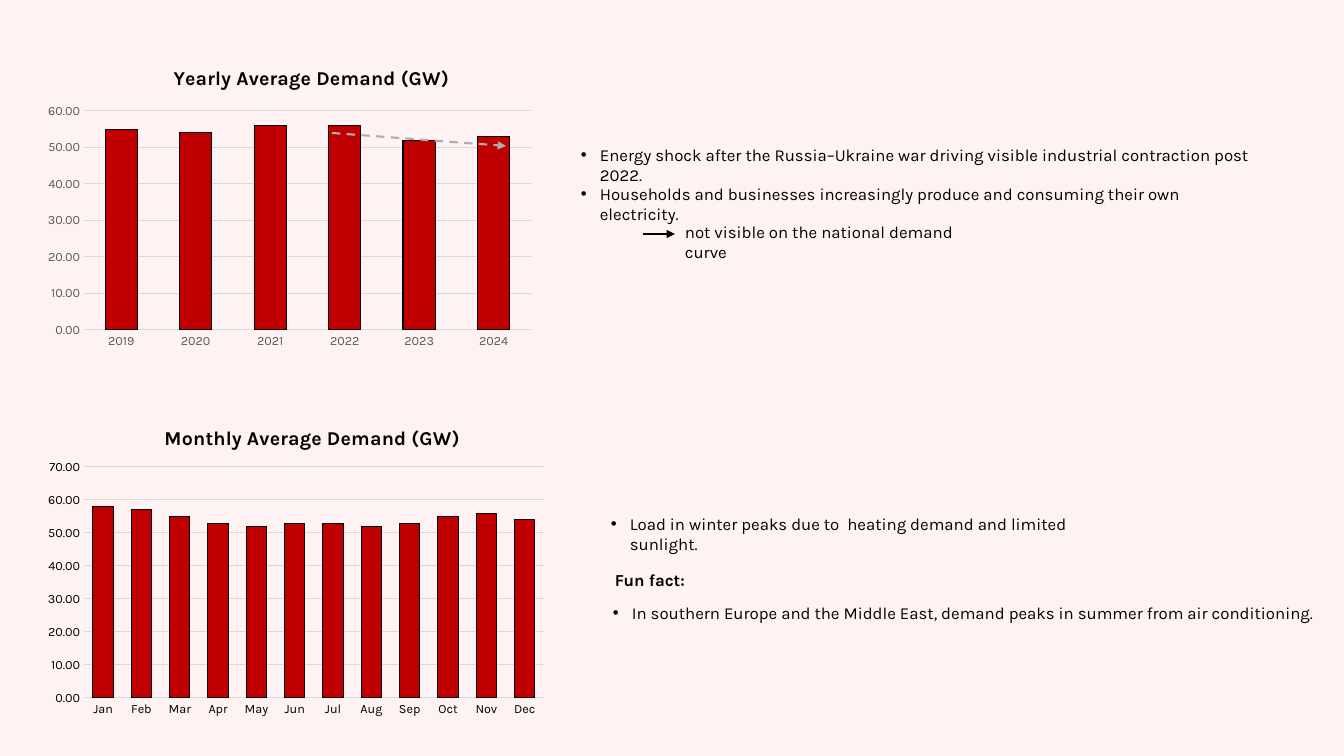
"""Build the slide on yearly and monthly average electricity demand."""
from pptx import Presentation, util as u
from pptx.chart.data import CategoryChartData
from pptx.dml.color import RGBColor
from pptx.enum import chart as charts, dml, shapes, text
from pptx.oxml import parse_xml
from pptx.oxml.ns import nsdecls

PX = 9525 / 1.05
FONT = "Karla"


def color(value):
    return RGBColor.from_string(value)


def layout(target, **fractions):
    modes = '<c:xMode val="edge"/><c:yMode val="edge"/>'
    values = "".join(f'<c:{key} val="{value:.4f}"/>' for key, value in fractions.items())
    inner = '<c:layoutTarget val="inner"/>' if target == "plot" else ""
    return parse_xml(f'<c:layout {nsdecls("c")}><c:manualLayout>{inner}{modes}{values}'
                     '</c:manualLayout></c:layout>')


deck = Presentation()
deck.slide_width, deck.slide_height = round(1344 * PX), round(756 * PX)
slide = deck.slides.add_slide(deck.slide_layouts[6])
slide.background.fill.solid()
slide.background.fill.fore_color.rgb = color("FFF2F2")

years = ["2019", "2020", "2021", "2022", "2023", "2024"]
months = ["Jan", "Feb", "Mar", "Apr", "May", "Jun",
          "Jul", "Aug", "Sep", "Oct", "Nov", "Dec"]
yearly = [55, 54, 56, 56, 52, 53]
monthly = [58, 57, 55, 53, 52, 53, 53, 52, 53, 55, 56, 54]
demand_charts = [
    ("Yearly Average Demand (GW)", years, yearly, 60, 130, "595959",
     (37, 51, 504, 302), (133, 11), (47, 60, 447, 219)),
    ("Monthly Average Demand (GW)", months, monthly, 70, 89, "000000",
     (37, 407, 516, 317), (124, 15), (47, 60, 460, 231)),
]
for title, periods, demand, top, gap, label_color, frame, title_at, plot_at in demand_charts:
    data = CategoryChartData(number_format="0.00")
    data.categories = periods
    data.add_series("Series 1", demand)
    chart = slide.shapes.add_chart(charts.XL_CHART_TYPE.COLUMN_CLUSTERED,
                                   *(round(n * PX) for n in frame), data).chart
    chart.has_legend = False
    chart.font.name, chart.font.size = FONT, u.Pt(10)
    chart.font.color.rgb = color("000000")

    heading = chart.chart_title.text_frame.paragraphs[0].add_run()
    heading.text = title
    heading.font.name, heading.font.size, heading.font.bold = FONT, u.Pt(14), True
    heading.font.color.rgb = color("000000")

    bars = chart.plots[0]
    bars.gap_width, bars.overlap, bars.vary_by_categories = gap, -27, False
    series = bars.series[0]
    series.format.fill.solid()
    series.format.fill.fore_color.rgb = color("C00000")
    series.format.line.color.rgb = color("000000")
    series.format.line.width = u.Pt(0.75)

    period_axis, demand_axis = chart.category_axis, chart.value_axis
    for axis in (period_axis, demand_axis):
        axis.major_tick_mark = axis.minor_tick_mark = charts.XL_TICK_MARK.NONE
        axis.tick_labels.font.name = FONT
        axis.tick_labels.font.size = u.Pt(9)
        axis.tick_labels.font.color.rgb = color(label_color)
    demand_axis.minimum_scale, demand_axis.maximum_scale = 0, top
    demand_axis.major_unit = 10
    demand_axis.tick_labels.number_format = "0.00"
    demand_axis.tick_labels.number_format_is_linked = False
    demand_axis.format.line.fill.background()
    for line in (period_axis.format.line, demand_axis.major_gridlines.format.line):
        line.color.rgb = color("D9D9D9")
        line.width = u.Pt(0.75)

    width, height = frame[2:]
    title_part = chart.element.xpath("c:chart/c:title")[0]
    plot_part = chart.element.xpath("c:chart/c:plotArea")[0]
    for part in (title_part, plot_part):
        for old in part.xpath("c:layout"):
            part.remove(old)
    title_part.insert(1, layout("title", x=title_at[0] / width, y=title_at[1] / height))
    x, y, w, h = plot_at
    plot_part.insert(0, layout("plot", x=x / width, y=y / height, w=w / width, h=h / height))
    clear = f'<c:spPr {nsdecls("c", "a")}><a:noFill/><a:ln><a:noFill/></a:ln></c:spPr>'
    plot_part.append(parse_xml(clear))
    chart.element.xpath("c:chart")[0].addnext(parse_xml(clear))

notes = [
    ("Energy shock after the Russia–Ukraine war driving visible industrial contraction post 2022.",
     571, 140, 696, 34, True, False),
    ("Households and businesses increasingly produce and consuming their own electricity.",
     571, 179, 684, 34, True, False),
    ("Load in winter peaks due to  heating demand and limited sunlight.",
     601, 509, 527, 34, True, False),
    ("Fun fact:", 605, 565, 96, 30, False, True),
    ("In southern Europe and the Middle East, demand peaks in summer from air conditioning.",
     603, 598, 724, 50, True, False),
    ("not visible on the national demand curve", 675, 217, 316, 34, False, False),
]
for wording, left, top, width, height, bulleted, bold in notes:
    note = slide.shapes.add_textbox(*(round(n * PX) for n in (left, top, width, height)))
    note.text_frame.word_wrap = True
    note.text_frame.auto_size = text.MSO_AUTO_SIZE.NONE
    paragraph = note.text_frame.paragraphs[0]
    if bulleted:
        properties = paragraph._p.get_or_add_pPr()
        properties.set("marL", str(round(19 * PX)))
        properties.set("indent", str(round(-19 * PX)))
        properties.append(parse_xml(f'<a:buFont {nsdecls("a")} typeface="Arial"/>'))
        properties.append(parse_xml(f'<a:buChar {nsdecls("a")} char="•"/>'))
    run = paragraph.add_run()
    run.text = wording
    run.font.name, run.font.size, run.font.bold = FONT, u.Pt(12), bold
    run.font.color.rgb = color("000000")
not_visible = note

arrows = [
    ((643, 234, 675, 234), "000000", None, not_visible),
    ((332, 133, 506, 146), "AEAEAE", dml.MSO_LINE.DASH, None),
]
for ends, tone, dash, target in arrows:
    arrow = slide.shapes.add_connector(shapes.MSO_CONNECTOR.STRAIGHT,
                                       *(round(n * PX) for n in ends))
    arrow.line.color.rgb = color(tone)
    arrow.line.width = u.Pt(1.5)
    if dash:
        arrow.line.dash_style = dash
    if target:
        arrow.end_connect(target, 1)
    arrow.line._get_or_add_ln().append(parse_xml(f'<a:tailEnd {nsdecls("a")} type="triangle"/>'))
    arrow._element.spPr.append(parse_xml(f'<a:effectLst {nsdecls("a")}/>'))

deck.save("out.pptx")
